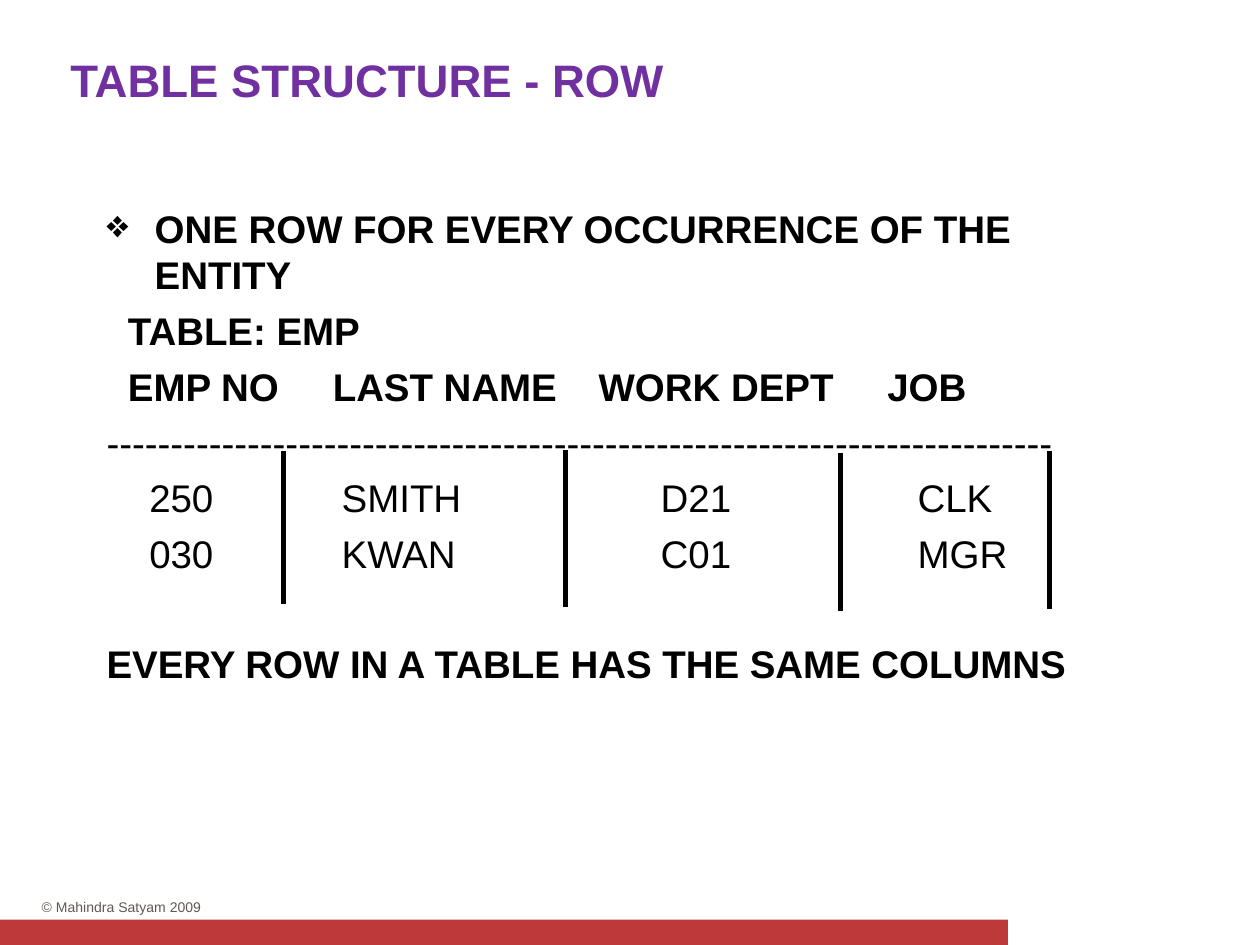
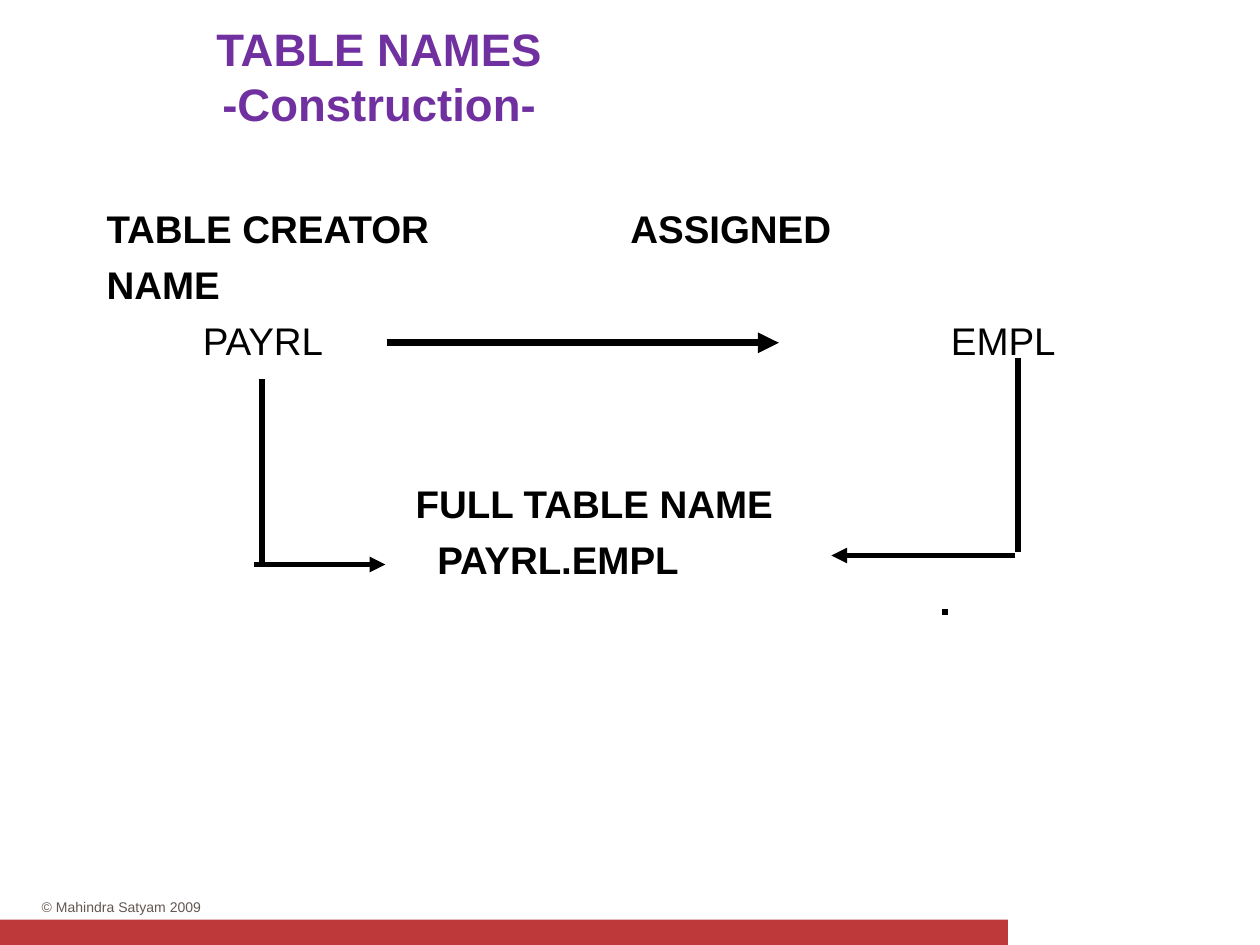
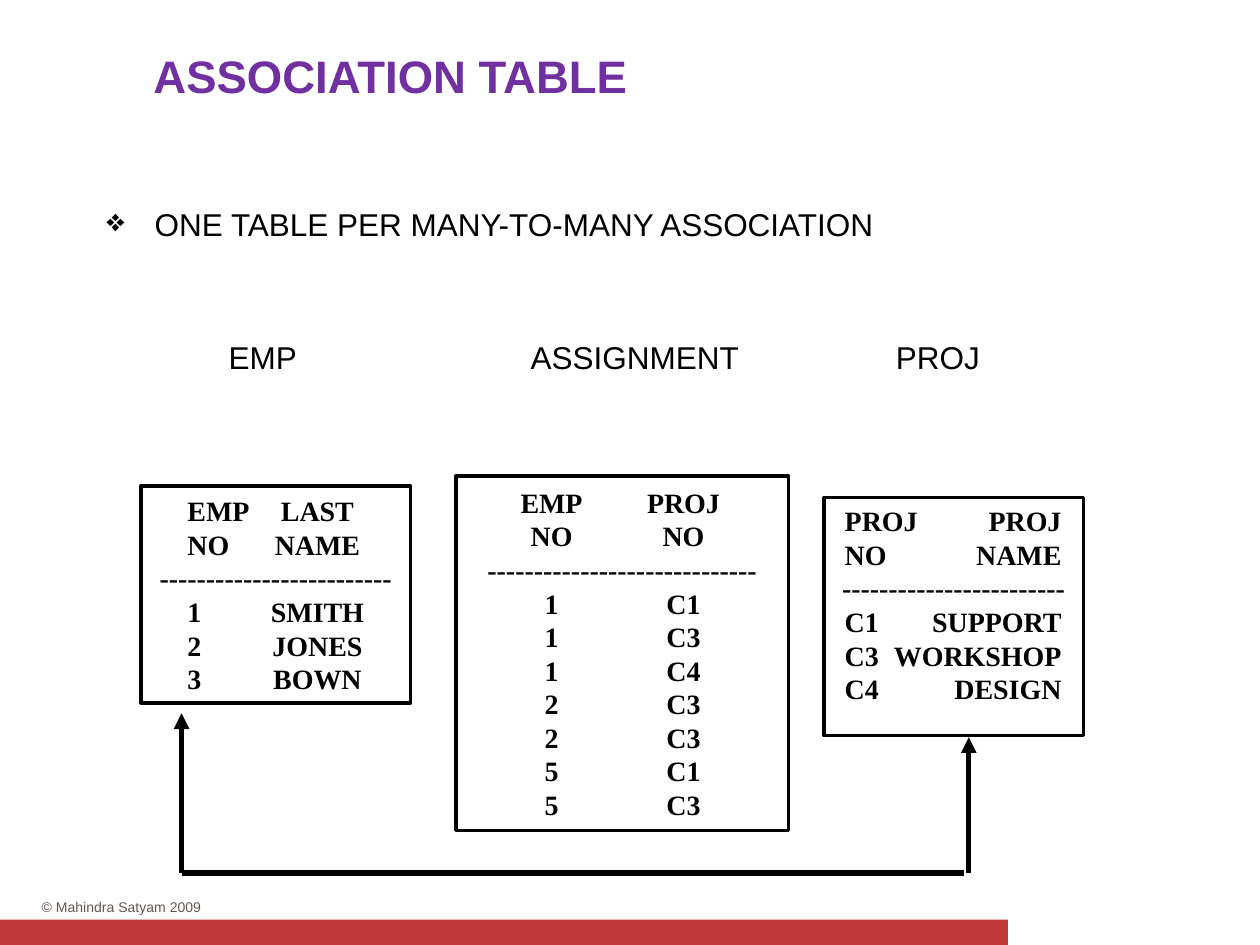
"""Build three slides on table rows, table names and association tables."""
from lxml.etree import SubElement
from pptx import Presentation
from pptx.dml.color import RGBColor
from pptx.enum.shapes import MSO_CONNECTOR, MSO_SHAPE
from pptx.enum.text import MSO_ANCHOR, PP_ALIGN
from pptx.oxml.ns import qn
from pptx.util import Cm, Pt

RED = RGBColor(0xBE, 0x3A, 0x3A)
GREY = RGBColor(0x62, 0x57, 0x53)
PURPLE = RGBColor(0x70, 0x30, 0xA0)
BLACK = RGBColor(0, 0, 0)
WHITE = RGBColor(255, 255, 255)
SANS, SERIF = "Arial", "Times New Roman"
HANG = Cm(0.97)
TOP, MID = MSO_ANCHOR.TOP, MSO_ANCHOR.MIDDLE
LEFT, CENTER = PP_ALIGN.LEFT, PP_ALIGN.CENTER


def write(frame, rows, size, tone=BLACK, face=SANS, kinds="llll"):
    """Fill a frame with rows of text, weight, space before, alignment and tab stops."""
    for num, (text, bold, gap, align, stops) in enumerate(rows):
        para = frame.add_paragraph() if num else frame.paragraphs[0]
        para.text = text
        para.alignment = align
        para.space_before = Pt(gap)
        props = para._p.get_or_add_pPr()
        if stops is None:
            props.set("marL", str(HANG))
            props.set("indent", str(-HANG))
            SubElement(props, qn("a:buChar"), char="❖")
        elif stops:
            tabs = SubElement(props, qn("a:tabLst"))
            for stop, kind in zip(stops, kinds):
                SubElement(tabs, qn("a:tab"), pos=str(Cm(stop)), algn=kind)
        font = para.font
        font.name, font.size, font.bold = face, Pt(size), bold
        font.color.rgb = tone


def place(slide, spot, anchor=TOP):
    """Add a wrapping text box and return its frame."""
    frame = slide.shapes.add_textbox(*map(Cm, spot)).text_frame
    frame.word_wrap = True
    frame.vertical_anchor = anchor
    return frame


HEADS = (0.43, 4.56, 9.92, 15.74)
CELLS = (0.86, 4.74, 11.17, 16.35)
NAMES = (1.94, 17.02)

PAGES = [
    {
        "title": "TABLE STRUCTURE - ROW", "spot": (0, 0, 14.81, 3.18), "size": 22,
        "body": [
            ("ONE ROW FOR EVERY OCCURRENCE OF THE ENTITY", True, 0, LEFT, None),
            ("\tTABLE: EMP", True, 5.5, LEFT, HEADS),
            ("\tEMP NO\tLAST NAME\tWORK DEPT\tJOB", True, 5.5, LEFT, HEADS),
            ("-" * 74, False, 5.5, LEFT, ()),
            ("\t250\tSMITH\tD21\tCLK", False, 5.5, LEFT, CELLS),
            ("\t030\tKWAN\tC01\tMGR", False, 5.5, LEFT, CELLS),
            ("EVERY ROW IN A TABLE HAS THE SAME COLUMNS", True, 36.5, LEFT, ()),
        ],
        "boxes": [],
        "lines": [
            (5.72, 9.09, 5.72, 12.17, 3, False),
            (11.4, 9.07, 11.4, 12.24, 3, False),
            (16.94, 9.14, 16.94, 12.32, 3, False),
            (21.16, 9.09, 21.16, 12.27, 3, False),
        ],
    },
    {
        "title": "TABLE NAMES\v-Construction-", "spot": (0.76, 0.36, 13.77, 2.34), "size": 22,
        "body": [
            ("TABLE CREATOR\tASSIGNED", True, 0, LEFT, (10.56,)),
            ("NAME", True, 5.5, LEFT, ()),
            ("\tPAYRL\tEMPL", False, 5.5, LEFT, NAMES),
            ("\tFULL TABLE NAME", True, 67, LEFT, (6.23,)),
            ("\tPAYRL.EMPL", True, 5.5, LEFT, (6.67,)),
        ],
        "boxes": [],
        "lines": [
            (7.8, 6.91, 15.7, 6.91, 4, True),
            (5.28, 7.65, 5.28, 11.35, 3, False),
            (20.52, 7.21, 20.52, 11.13, 3, False),
            (5.13, 11.38, 7.77, 11.38, 3, True),
            (20.47, 11.2, 16.76, 11.2, 3, True),
            (19.05, 12.27, 19.05, 12.4, 3, False),
        ],
    },
    {
        "title": "ASSOCIATION TABLE", "spot": (1.83, 0.38, 12.09, 2.26), "size": 18,
        "body": [
            ("ONE TABLE PER MANY-TO-MANY ASSOCIATION", False, 0, LEFT, None),
            ("\tEMP\tASSIGNMENT\tPROJ", False, 54.5, LEFT, (2.46, 8.55, 15.91)),
        ],
        "boxes": [
            ((2.84, 9.8, 5.44, 4.37), MID, (0.69, 3.31), ("l", "ctr"), 25,
             ["EMP LAST", "NO NAME", "1 SMITH", "2 JONES", "3 BOWN"]),
            ((9.19, 9.6, 6.71, 7.14), MID, (1.68, 4.34), ("ctr", "ctr"), 29,
             ["EMP PROJ", "NO NO", "1 C1", "1 C3", "1 C4", "2 C3", "2 C3", "5 C1", "5 C3"]),
            ((16.61, 10.03, 5.23, 4.8), TOP, (0.17, 4.54), ("l", "r"), 24,
             ["PROJ PROJ", "NO NAME", "C1 SUPPORT", "C3 WORKSHOP", "C4 DESIGN"]),
        ],
        "lines": [
            (3.66, 17.6, 19.43, 17.6, 3, False),
            (19.53, 17.6, 19.53, 14.86, 3, True),
            (3.66, 17.6, 3.66, 14.38, 3, True),
        ],
    },
]

deck = Presentation()
deck.slide_width, deck.slide_height = Cm(25.4), Cm(19.05)

for page in PAGES:
    slide = deck.slides.add_slide(deck.slide_layouts[6])
    band = slide.shapes.add_shape(MSO_SHAPE.RECTANGLE, Cm(0), Cm(18.54), Cm(20.32), Cm(0.51))
    band.shadow.inherit = False
    band.fill.solid()
    band.fill.fore_color.rgb = RED
    band.line.fill.background()

    foot = place(slide, (0.84, 18.11, 3.91, 0.33))
    foot.margin_left = foot.margin_right = foot.margin_top = foot.margin_bottom = 0
    write(foot, [("© Mahindra Satyam 2009", False, 0, LEFT, ())], 8, GREY)
    write(place(slide, page["spot"], MID), [(page["title"], True, 0, CENTER, ())], 26, PURPLE)
    write(place(slide, (1.9, 4.01, 21.59, 13.34)), page["body"], page["size"])

    for spot, anchor, stops, kinds, count, pairs in page["boxes"]:
        box = slide.shapes.add_shape(MSO_SHAPE.RECTANGLE, *map(Cm, spot))
        box.shadow.inherit = False
        box.fill.solid()
        box.fill.fore_color.rgb = WHITE
        box.line.color.rgb = BLACK
        box.line.width = Pt(2)
        box.text_frame.word_wrap = True
        box.text_frame.vertical_anchor = anchor
        rows = [("\t" + pair.replace(" ", "\t"), True, 0, LEFT, stops) for pair in pairs]
        rows.insert(2, ("-" * count, True, 0, CENTER, ()))
        write(box.text_frame, rows, 16, face=SERIF, kinds=kinds)

    for *ends, width, arrow in page["lines"]:
        line = slide.shapes.add_connector(MSO_CONNECTOR.STRAIGHT, *map(Cm, ends))
        line.line.color.rgb = BLACK
        line.line.width = Pt(width)
        if arrow:
            SubElement(line.line._get_or_add_ln(), qn("a:tailEnd"), type="triangle")
        SubElement(line._element.spPr, qn("a:effectLst"))

deck.save("out.pptx")
